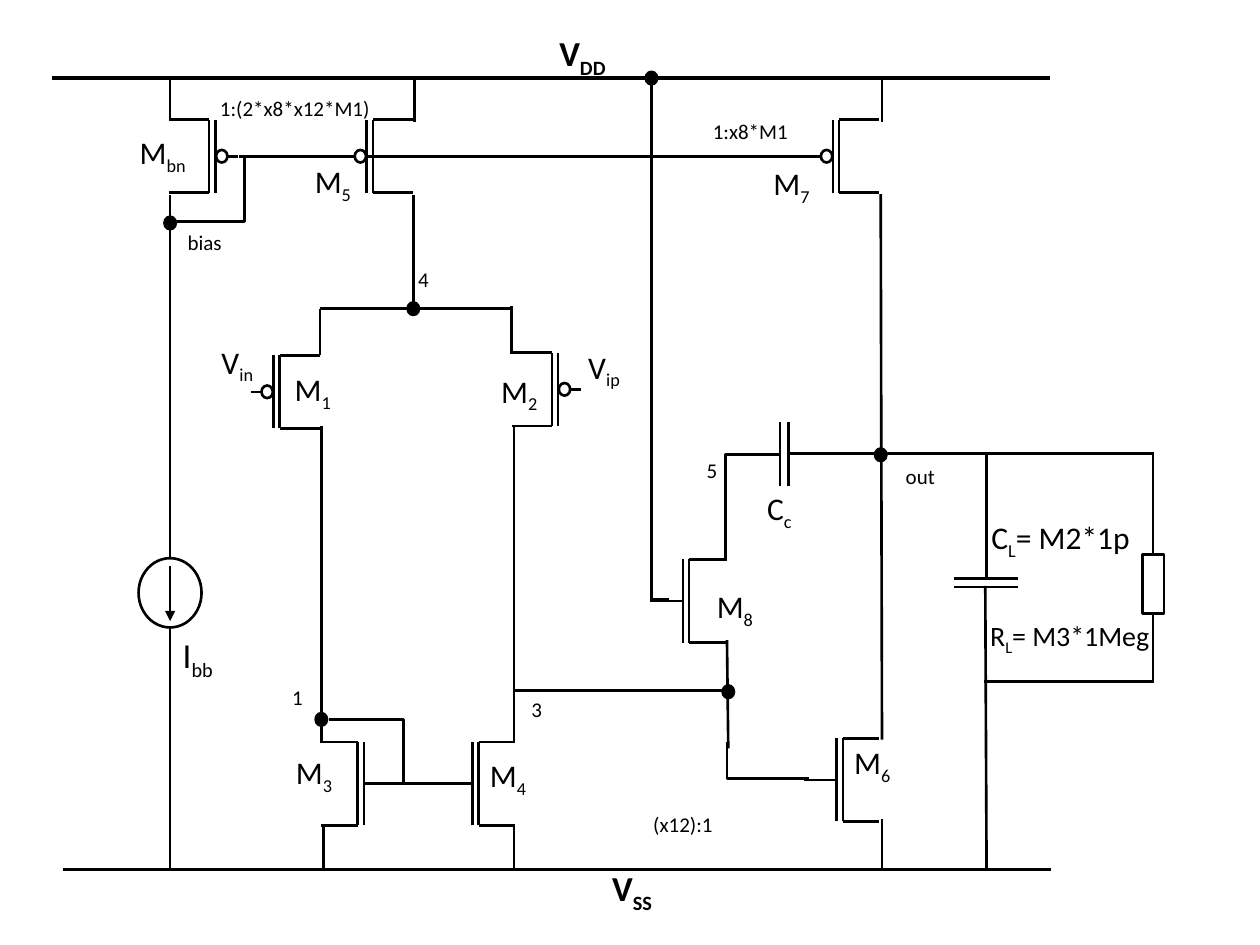
from lxml import etree
from pptx import Presentation
from pptx.dml.color import RGBColor
from pptx.enum.shapes import MSO_CONNECTOR, MSO_SHAPE
from pptx.enum.text import MSO_AUTO_SIZE, PP_ALIGN
from pptx.oxml.ns import qn
from pptx.util import Cm, Pt

STRAIGHT = MSO_CONNECTOR.STRAIGHT
ELLIPSE, RECTANGLE = MSO_SHAPE.OVAL, MSO_SHAPE.RECTANGLE
LEFT, CENTER, RIGHT = PP_ALIGN.LEFT, PP_ALIGN.CENTER, PP_ALIGN.RIGHT
BLACK, WHITE = "000000", "FFFFFF"
FONT = "Calibri"
WIRE, RAIL = 1.5, 2

# All positions below are in inches; inch() turns them into lengths.
RAILS = [(0.41, 0.62, 8.33, 0.62), (0.5, 6.9, 8.34, 6.9)]

WIRES = [
    # bias branch
    (1.35, 0.96, 1.35, 0.6), (1.35, 4.46, 1.35, 1.55), (1.35, 5.2, 1.35, 6.89),
    (1.9, 1.24, 6.47, 1.24),
    # differential pair and its load
    (3.29, 0.97, 3.29, 0.61), (3.28, 2.45, 3.28, 1.55), (2.54, 2.45, 4.06, 2.45),
    (2.54, 2.82, 2.54, 2.45), (4.06, 2.81, 4.06, 2.43),
    (2.55, 5.9, 2.55, 3.38), (4.08, 5.89, 4.08, 3.37),
    (2.57, 6.89, 2.57, 6.54), (4.08, 6.89, 4.08, 6.54), (3.12, 6.22, 3.54, 6.22),
    # compensation
    (5.17, 4.77, 5.17, 0.6), (5.31, 4.76, 5.16, 4.76), (5.77, 5.08, 5.78, 5.94),
    (5.79, 5.48, 4.08, 5.48), (6.27, 3.6, 7, 3.6),
    # output stage and load
    (7, 0.97, 7, 0.61), (7, 5.87, 6.99, 1.54), (7, 6.89, 7, 6.5),
    (7.83, 6.9, 7.82, 4.65), (7.82, 3.6, 9.16, 3.6),
    (9.15, 3.61, 9.15, 5.42), (7.81, 5.41, 9.15, 5.41),
]

BENT_WIRES = [
    [(1.94, 1.24), (1.94, 1.76), (1.35, 1.76)],
    [(3.2, 6.23), (3.2, 5.71), (2.61, 5.71)],
    [(6.42, 6.18), (5.77, 6.18), (5.77, 5.89)],
    [(5.76, 4.45), (5.76, 3.61), (6.18, 3.61)],
    [(7, 3.6), (7.83, 3.6), (7.83, 4.58)],
]

CAPACITOR_PLATES = [
    [(6.19, 3.86, 6.19, 3.35), (6.26, 3.86, 6.26, 3.35)],
    [(8.08, 4.59, 7.57, 4.59), (8.08, 4.66, 7.57, 4.66)],
]

NODES = [(2.55, 5.71), (5.17, 0.62), (5.78, 5.49), (3.28, 2.45), (1.35, 1.77), (6.99, 3.61)]

# half height, drain reach, gate lead
PMOS, NMOS = (0.29, 0.37, 0.18), (0.33, 0.34, 0.26)
# kind, gate x, middle y, side of the channel (1 right, -1 left)
TRANSISTORS = [
    (PMOS, 1.71, 1.24, -1), (PMOS, 2.91, 1.24, 1), (PMOS, 6.61, 1.24, 1),
    (PMOS, 2.17, 3.11, 1), (PMOS, 4.43, 3.09, -1),
    (NMOS, 2.89, 6.22, -1), (NMOS, 3.75, 6.22, 1),
    (NMOS, 6.64, 6.19, 1), (NMOS, 5.42, 4.77, 1),
]

# left, top, width, height, size, align, wrap, (base, subscript, rest)
LABELS = [
    (4.34, 0.2, 0.99, 0.43, 20, LEFT, True, ("V", "DD", "")),
    (4.76, 6.83, 0.99, 0.43, 20, LEFT, True, ("V", "SS", "")),
    (1.29, 4.98, 0.56, 0.43, 20, CENTER, True, ("I", "bb", "")),
    (1.01, 1.01, 0.59, 0.4, 18, LEFT, False, ("M", "bn", "")),
    (2.24, 2.89, 0.5, 0.4, 18, LEFT, False, ("M", "1", "")),
    (3.88, 2.9, 0.5, 0.4, 18, LEFT, False, ("M", "2", "")),
    (2.25, 5.93, 0.83, 0.4, 18, LEFT, True, ("M", "3", "")),
    (3.79, 5.95, 0.72, 0.4, 18, LEFT, True, ("M", "4", "")),
    (2.4, 1.24, 0.5, 0.4, 18, LEFT, False, ("M", "5", "")),
    (6.68, 5.85, 0.88, 0.4, 18, LEFT, True, ("M", "6", "")),
    (6.04, 1.25, 0.5, 0.4, 18, LEFT, False, ("M", "7", "")),
    (5.59, 4.61, 0.72, 0.4, 18, LEFT, True, ("M", "8", "")),
    (1.66, 2.67, 0.54, 0.4, 18, LEFT, True, ("V", "in", "")),
    (4.57, 2.71, 0.52, 0.4, 18, LEFT, True, ("V", "ip", "")),
    (5.99, 3.83, 0.62, 0.4, 18, LEFT, True, ("C", "c", "")),
    (7.77, 4.06, 1.31, 0.4, 18, LEFT, True, ("C", "L", "= M2*1p")),
    (7.67, 4.86, 1.55, 0.37, 16, RIGHT, True, ("R", "L", "= M3*1Meg")),
    (2.22, 5.38, 0.36, 0.3, 12, LEFT, True, ("1", "", "")),
    (4.12, 5.48, 0.54, 0.3, 12, LEFT, True, ("3", "", "")),
    (3.22, 2.07, 0.37, 0.3, 12, LEFT, True, ("4", "", "")),
    (5.51, 3.58, 0.35, 0.3, 12, LEFT, True, ("5", "", "")),
    (1.39, 1.77, 0.62, 0.3, 12, LEFT, True, ("bias", "", "")),
    (7.09, 3.63, 0.47, 0.3, 12, LEFT, True, ("out", "", "")),
    (5.44, 0.89, 1.03, 0.3, 12, CENTER, True, ("1:x8*M1", "", "")),
    (1.6, 0.71, 1.48, 0.3, 12, CENTER, True, ("1:(2*x8*x12*M1)", "", "")),
    (4.78, 6.39, 1.28, 0.3, 12, CENTER, True, ("(x12):1", "", "")),
]


def inch(value):
    return Cm(value * 2.54)


def rgb(color):
    return RGBColor.from_string(color)


def set_line(item, width=WIRE):
    item.line.color.rgb = rgb(BLACK)
    item.line.width = Pt(width)


def add_wire(shapes, ends, width=WIRE, arrow=False):
    wire = shapes.add_connector(STRAIGHT, *map(inch, ends))
    set_line(wire, width)
    if arrow:
        etree.SubElement(wire.line._get_or_add_ln(), qn("a:tailEnd"), type="triangle")
    etree.SubElement(wire._element.spPr, qn("a:effectLst"))


def add_part(shapes, preset, box, fill):
    part = shapes.add_shape(preset, *map(inch, box))
    part.shadow.inherit = False
    part.fill.solid()
    part.fill.fore_color.rgb = rgb(fill)
    set_line(part)


def add_circle(shapes, x, y, fill):
    add_part(shapes, ELLIPSE, (x - 0.045, y - 0.05, 0.09, 0.1), fill)


def add_bent_wire(shapes, points):
    start, *rest = [tuple(map(inch, point)) for point in points]
    builder = shapes.build_freeform(*start)
    builder.add_line_segments(rest, close=False)
    bend = builder.convert_to_shape()
    bend.shadow.inherit = False
    bend.fill.background()
    set_line(bend)


def add_transistor(shapes, kind, gate, middle, side):
    half, reach, lead = kind
    top, bottom = middle - half, middle + half
    channel, drain = gate + side * 0.05, gate + side * reach
    group = shapes.add_group_shape().shapes
    for ends in [(gate, bottom, gate, top), (channel, bottom, channel, top),
                 (channel, bottom, drain, bottom), (channel, top, drain, top),
                 (gate, middle, gate - side * lead, middle)]:
        add_wire(group, ends)
    if kind is PMOS:
        add_circle(group, gate - side * 0.05, middle, WHITE)


def add_label(shapes, left, top, width, height, size, align, wrap, parts):
    frame = shapes.add_textbox(*map(inch, (left, top, width, height))).text_frame
    frame.word_wrap = wrap
    frame.auto_size = MSO_AUTO_SIZE.SHAPE_TO_FIT_TEXT
    paragraph = frame.paragraphs[0]
    paragraph.alignment = align
    for position, text in enumerate(parts):
        if not text:
            continue
        run = paragraph.add_run()
        run.text = text
        run.font.name, run.font.size = FONT, Pt(size)
        run.font.bold = parts[1] in ("DD", "SS")
        run.font.color.rgb = rgb(BLACK)
        if position == 1:
            run.font._element.set("baseline", "-25000")


def main():
    deck = Presentation()
    deck.slide_width, deck.slide_height = inch(10), inch(7.5)
    shapes = deck.slides.add_slide(deck.slide_layouts[6]).shapes
    for rail in RAILS:
        add_wire(shapes, rail, RAIL)
    for wire in WIRES:
        add_wire(shapes, wire)
    for points in BENT_WIRES:
        add_bent_wire(shapes, points)
    for plates in CAPACITOR_PLATES:
        capacitor = shapes.add_group_shape().shapes
        for plate in plates:
            add_wire(capacitor, plate)
    source = shapes.add_group_shape().shapes
    add_wire(source, (1.35, 4.18, 1.35, 5.27))
    add_part(source, ELLIPSE, (1.1, 4.43, 0.5, 0.55), WHITE)
    add_wire(source, (1.35, 4.49, 1.35, 4.93), arrow=True)
    add_part(shapes, RECTANGLE, (9.07, 4.4, 0.17, 0.47), WHITE)
    for transistor in TRANSISTORS:
        add_transistor(shapes, *transistor)
    for x, y in NODES:
        add_circle(shapes, x, y, BLACK)
    for label in LABELS:
        add_label(shapes, *label)
    deck.save("out.pptx")


if __name__ == "__main__":
    main()
